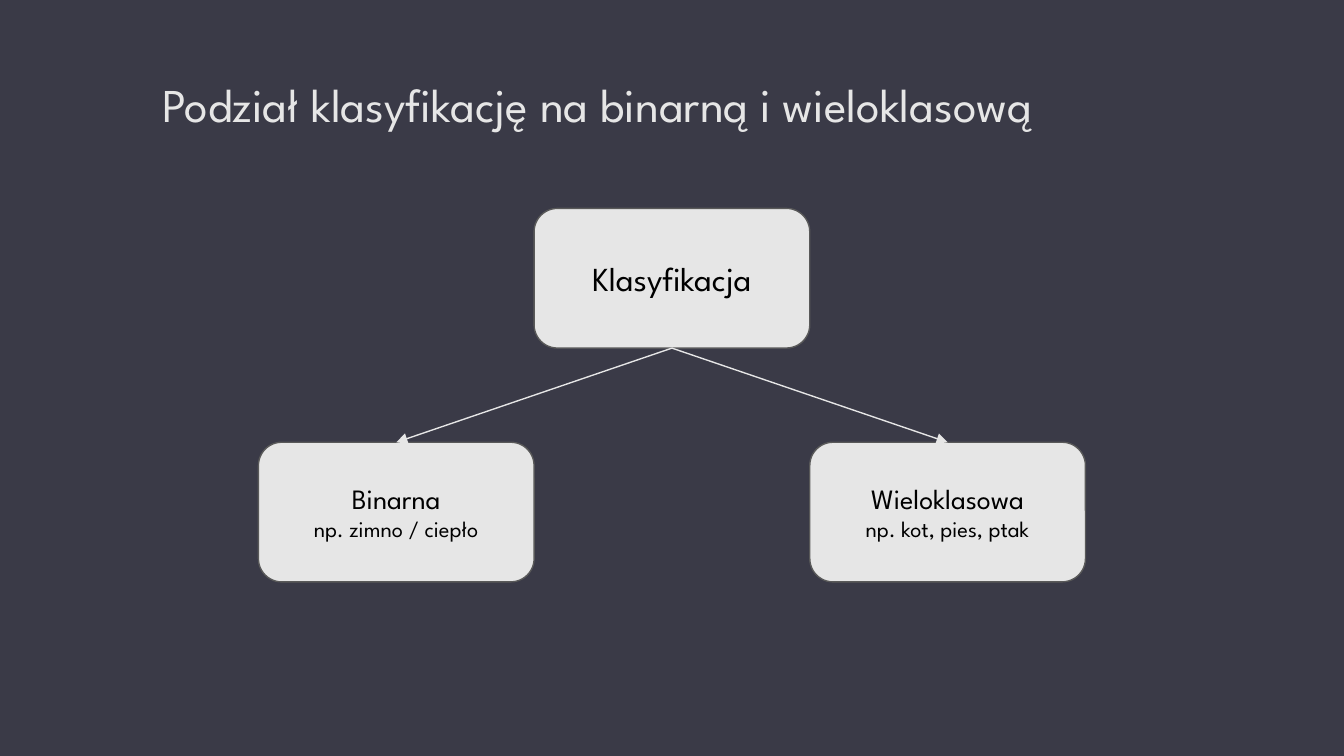
from lxml.etree import SubElement
from pptx import Presentation
from pptx.dml.color import RGBColor
from pptx.enum.shapes import MSO_CONNECTOR as Connector, MSO_SHAPE as Shape
from pptx.enum.text import MSO_ANCHOR as Anchor, PP_ALIGN as Align
from pptx.oxml.ns import qn
from pptx.util import Cm, Pt

TITLE = "Podział klasyfikację na binarną i wieloklasową"
ROOT = [("Klasyfikacja", 18)]
BRANCHES = [
    [("Binarna", 15), ("np. zimno / ciepło", 12)],
    [("Wieloklasowa", 15), ("np. kot, pies, ptak", 12)],
]
COLORS = {"background": "3A3A47", "light": "E6E6E6", "border": "595959", "text": "000000"}
FONT = "League Spartan"
PAGE_WIDTH, PAGE_HEIGHT = 25.4, 14.29
BOX_WIDTH, BOX_HEIGHT = 5.21, 2.64
ROOT_TOP, BRANCH_TOP = 3.94, 8.36
INSET = 0.25
BOTTOM_SIDE, TOP_SIDE = 2, 0


def color(name):
    return RGBColor.from_string(COLORS[name])


def write(frame, lines, color_name, align, anchor):
    """Fill a text frame with (text, size) paragraphs."""
    frame.word_wrap = True
    frame.vertical_anchor = anchor
    frame.margin_left = frame.margin_right = Cm(INSET)
    frame.margin_top = frame.margin_bottom = Cm(INSET)
    frame.text = "\n".join(text for text, size in lines)
    for para, (text, size) in zip(frame.paragraphs, lines):
        para.alignment = align
        font = para.runs[0].font
        font.name, font.size = FONT, Pt(size)
        font.color.rgb = color(color_name)


def add_box(page, lines, column, top):
    """Add a rounded box; column counts box widths from the page centre."""
    left = (PAGE_WIDTH - BOX_WIDTH) / 2 + column * BOX_WIDTH
    box = page.shapes.add_shape(
        Shape.ROUNDED_RECTANGLE, Cm(left), Cm(top), Cm(BOX_WIDTH), Cm(BOX_HEIGHT))
    box.shadow.inherit = False
    box.fill.solid()
    box.fill.fore_color.rgb = color("light")
    box.line.color.rgb = color("border")
    box.line.width = Pt(0.75)
    write(box.text_frame, lines, "text", Align.CENTER, Anchor.MIDDLE)
    return box


def add_arrow(page, parent, child):
    arrow = page.shapes.add_connector(Connector.STRAIGHT, 0, 0, 0, 0)
    arrow.begin_connect(parent, BOTTOM_SIDE)
    arrow.end_connect(child, TOP_SIDE)
    arrow.line.color.rgb = color("light")
    arrow.line.width = Pt(0.75)
    SubElement(arrow.line._get_or_add_ln(), qn("a:tailEnd"), type="triangle")
    SubElement(arrow._element.spPr, qn("a:effectLst"))


def main():
    deck = Presentation()
    deck.slide_width, deck.slide_height = Cm(PAGE_WIDTH), Cm(PAGE_HEIGHT)
    page = deck.slides.add_slide(deck.slide_layouts[6])
    page.background.fill.solid()
    page.background.fill.fore_color.rgb = color("background")

    title = page.shapes.add_textbox(Cm(2.82), Cm(1.17), Cm(20.73), Cm(1.6))
    write(title.text_frame, [(TITLE, 25.2)], "light", Align.LEFT, Anchor.TOP)

    root = add_box(page, ROOT, 0, ROOT_TOP)
    branches = [add_box(page, lines, column, BRANCH_TOP)
                for lines, column in zip(BRANCHES, (-1, 1))]
    for branch in branches:
        add_arrow(page, root, branch)

    deck.save("out.pptx")


if __name__ == "__main__":
    main()
